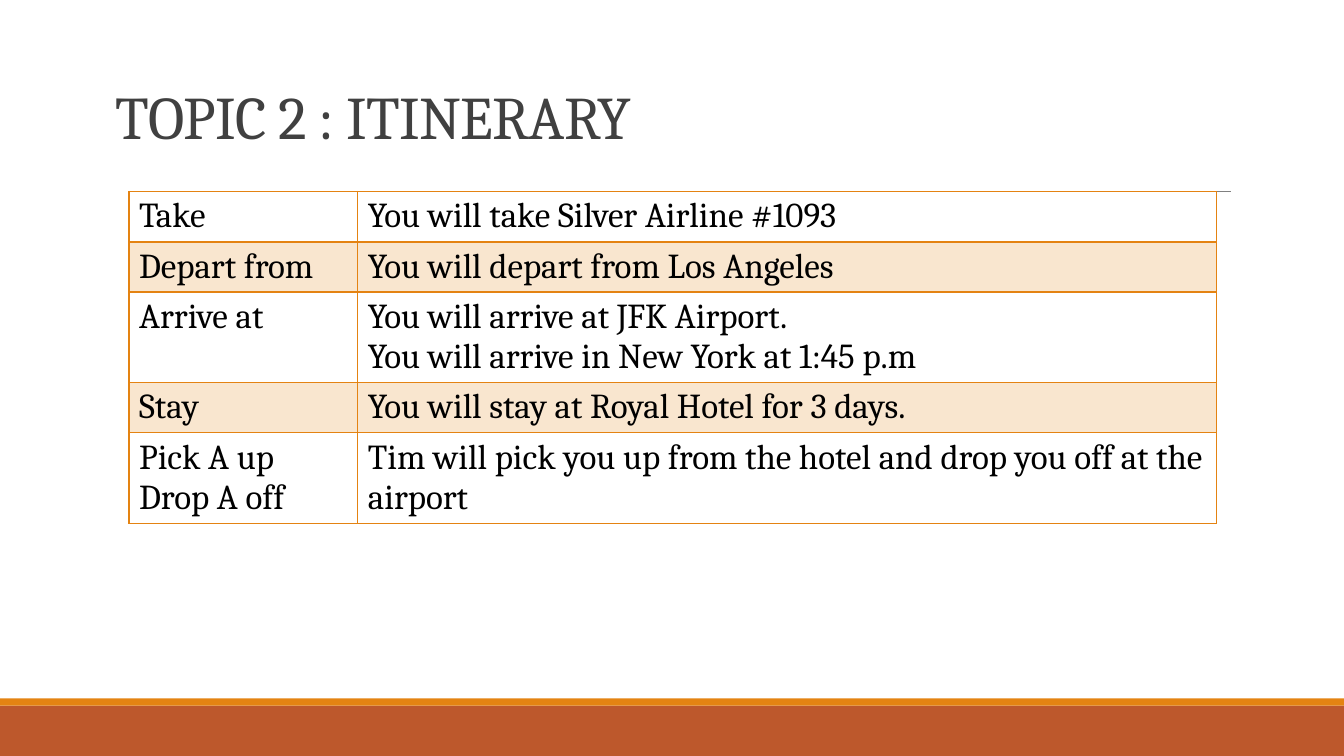
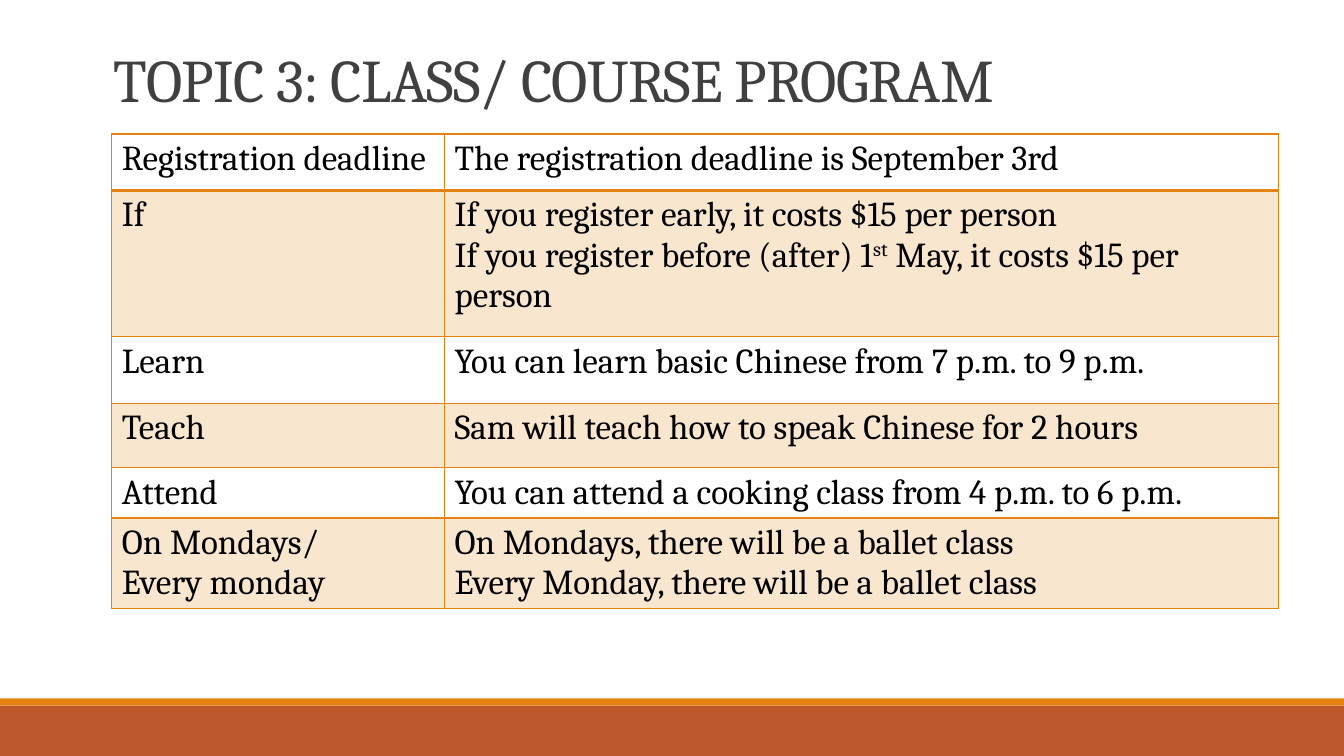
from dataclasses import dataclass

from lxml import etree
from pptx import Presentation
from pptx.dml.color import RGBColor
from pptx.enum.shapes import MSO_CONNECTOR, MSO_SHAPE
from pptx.enum.text import MSO_ANCHOR, MSO_AUTO_SIZE, PP_ALIGN
from pptx.oxml.ns import qn
from pptx.util import Inches, Pt

RECT = MSO_SHAPE.RECTANGLE
STRAIGHT = MSO_CONNECTOR.STRAIGHT
BOTTOM = MSO_ANCHOR.BOTTOM
LEFT = PP_ALIGN.LEFT
NO_AUTOFIT = MSO_AUTO_SIZE.NONE
TITLE_ONLY = 5
NO_TABLE_STYLE = "{2D5ABB26-0587-4C30-8999-92F81FD0307C}"


@dataclass(frozen=True)
class Theme:
    font: str = "Cambria"
    title_size: float = 43.2
    cell_size: float = 25
    title: str = "404040"
    text: str = "000000"
    accent: str = "E48312"
    footer: str = "BD582C"
    rule: str = "808080"
    tint: int = 20  # opacity of shaded rows, percent
    border: float = 1
    header_border: float = 2


THEME = Theme()

ITINERARY = [
    ("Take", "You will take Silver Airline #1093"),
    ("Depart from", "You will depart from Los Angeles"),
    ("Arrive at", "You will arrive at JFK Airport.\nYou will arrive in New York at 1:45 p.m"),
    ("Stay", "You will stay at Royal Hotel for 3 days."),
    ("Pick A up\nDrop A off",
     "Tim will pick you up from the hotel and drop you off at the airport"),
]

# Carets enclose superscript text
COURSE = [
    ("Registration deadline", "The registration deadline is September 3rd"),
    ("If", "If you register early, it costs $15 per person\n"
           "If you register before (after) 1^st^ May, it costs $15 per person"),
    ("Learn", "You can learn basic Chinese from 7 p.m. to 9 p.m."),
    ("Teach", "Sam will teach how to speak Chinese for 2 hours"),
    ("Attend", "You can attend a cooking class from 4 p.m. to 6 p.m."),
    ("On Mondays/\nEvery monday",
     "On Mondays, there will be a ballet class\nEvery Monday, there will be a ballet class"),
]


def style_run(r, size, color):
    r.font.name = THEME.font
    r.font.size = Pt(size)
    r.font.bold = False
    r.font.color.rgb = RGBColor.from_string(color)


# Shared bands and rule
def add_band(s, top, height, color):
    band = s.shapes.add_shape(RECT, 0, Inches(top), Inches(13.33), Inches(height))
    band.shadow.inherit = False
    band.fill.solid()
    band.fill.fore_color.rgb = RGBColor.from_string(color)
    band.line.fill.background()
    return band


def add_rule(s):
    rule = s.shapes.add_connector(STRAIGHT, Inches(1.31), Inches(1.9), Inches(12.21), Inches(1.9))
    rule.line.color.rgb = RGBColor.from_string(THEME.rule)
    rule.line.width = Pt(0.5)
    etree.SubElement(rule.element.spPr, qn("a:effectLst"))
    return rule


def move_to_layout(shapes, layout):
    """Place shapes behind the layout's placeholders."""
    for i, shape in enumerate(shapes):
        shape.element.xpath("./*/p:cNvPr")[0].set("id", str(100 + i))
        layout.shapes.element.insert(2 + i, shape.element)


# Title
def set_title(s, text, left, top):
    sp = s.shapes.title
    sp.left, sp.top, sp.width, sp.height = map(Inches, (left, top, 11.5, 0.57))
    tf = sp.text_frame
    tf.text = text
    tf.word_wrap = True
    tf.auto_size = NO_AUTOFIT
    tf.vertical_anchor = BOTTOM
    p = tf.paragraphs[0]
    p.alignment = LEFT
    p.line_spacing = 0.85
    style_run(p.runs[0], THEME.title_size, THEME.title)
    p.runs[0].font.element.set("spc", "-50") if hasattr(p.runs[0].font, "element") else \
        p.runs[0].font.fill and p.runs[0].text and p._p.r_lst[0].get_or_add_rPr().set("spc", "-50")


# Table
def set_borders(cell, widths):
    """Outline a cell; widths follow the order left, right, top, bottom."""
    tc_pr = cell._tc.get_or_add_tcPr()
    for i, (side, width) in enumerate(zip("LRTB", widths)):
        ln = etree.Element(qn(f"a:ln{side}"), w=str(Pt(width)))
        fill = etree.SubElement(ln, qn("a:solidFill"))
        etree.SubElement(fill, qn("a:srgbClr"), val=THEME.accent)
        tc_pr.insert(i, ln)


def shade(cell):
    cell.fill.solid()
    cell.fill.fore_color.rgb = RGBColor.from_string(THEME.accent)
    color = cell._tc.tcPr.find(".//" + qn("a:srgbClr"))
    etree.SubElement(color, qn("a:alpha"), val=str(THEME.tint * 1000))


def write_cell(cell, text):
    tf = cell.text_frame
    for i, line in enumerate(text.split("\n")):
        p = tf.paragraphs[0] if i == 0 else tf.add_paragraph()
        for j, part in enumerate(line.split("^")):
            r = p.add_run()
            r.text = part
            style_run(r, THEME.cell_size, THEME.text)
            if j % 2:
                r._r.get_or_add_rPr().set("baseline", "30000")


def add_phrase_table(s, rows, left, top, widths, heights):
    frame = s.shapes.add_table(len(rows), len(widths), Inches(left), Inches(top),
                               Inches(sum(widths)), Inches(sum(heights)))
    table = frame.table
    table.first_row = table.horz_banding = False
    table._tbl.tblPr.find(qn("a:tableStyleId")).text = NO_TABLE_STYLE
    for column, width in zip(table.columns, widths):
        column.width = Inches(width)
    for i, (row, height) in enumerate(zip(table.rows, heights)):
        row.height = Inches(height)
        above = THEME.header_border if i == 1 else THEME.border
        below = THEME.header_border if i == 0 else THEME.border
        for cell, text in zip(row.cells, rows[i]):
            write_cell(cell, text)
            if i % 2:
                shade(cell)
            else:
                cell.fill.background()
            set_borders(cell, (THEME.border, THEME.border, above, below))


def add_topic(prs, layout, title, title_at, rows, table_at, widths, heights):
    s = prs.slides.add_slide(layout)
    for ph in list(s.placeholders):
        if ph.placeholder_format.idx:
            ph.element.getparent().remove(ph.element)
    set_title(s, title, *title_at)
    add_phrase_table(s, rows, *table_at, widths, heights)
    return s


def main():
    prs = Presentation()
    prs.slide_width, prs.slide_height = Inches(13.33), Inches(7.5)
    layout = prs.slide_layouts[TITLE_ONLY]

    s = add_topic(prs, layout, "TOPIC 2 : ITINERARY", (1.05, 0.99),
                  ITINERARY, (1.28, 1.9), (2.27, 8.52), [0.4] * len(ITINERARY))
    add_topic(prs, layout, "TOPIC 3: CLASS/ COURSE PROGRAM", (1.03, 0.62),
              COURSE, (1.11, 1.33), (3.3, 8.27), (0.56, 1.45, 0.66, 0.64, 0.47, 0.47))

    shared = [add_band(s, 7, 0.5, THEME.footer), add_band(s, 6.93, 0.07, THEME.accent), add_rule(s)]
    move_to_layout(shared, layout)
    prs.save("out.pptx")


main()
